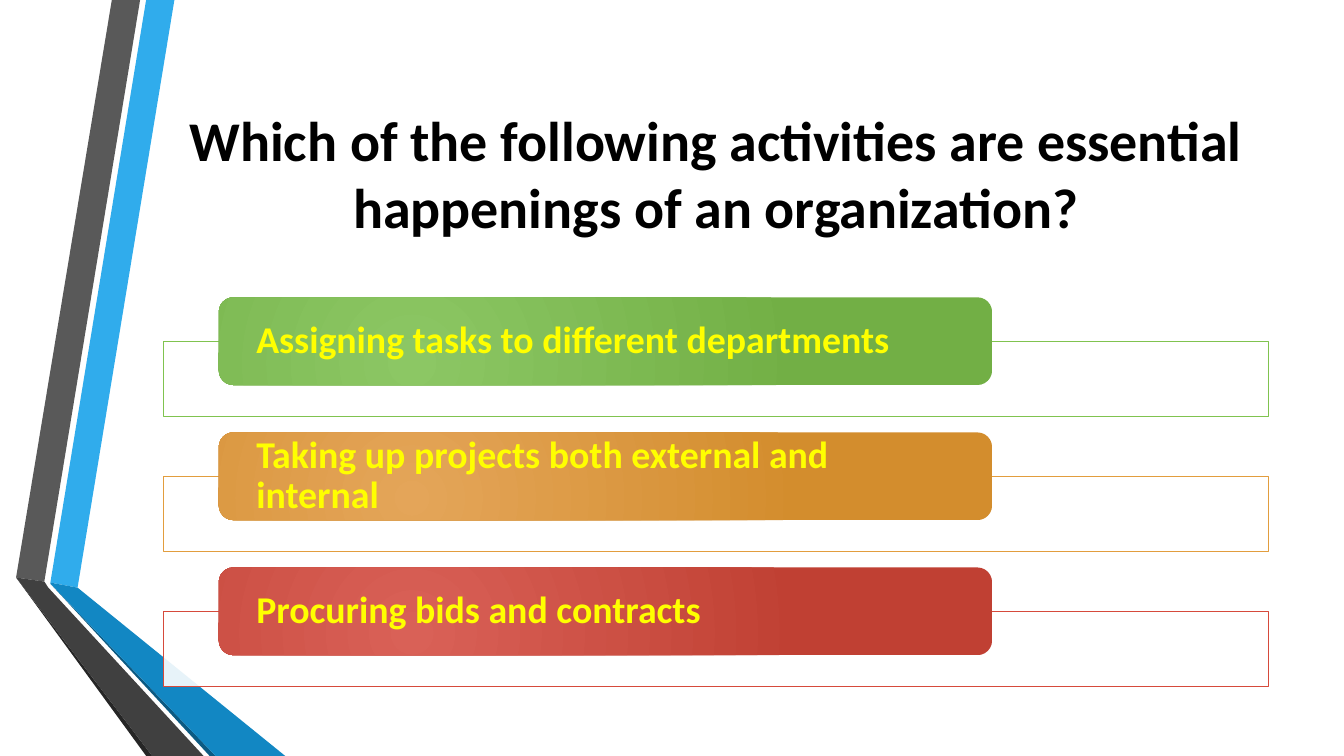
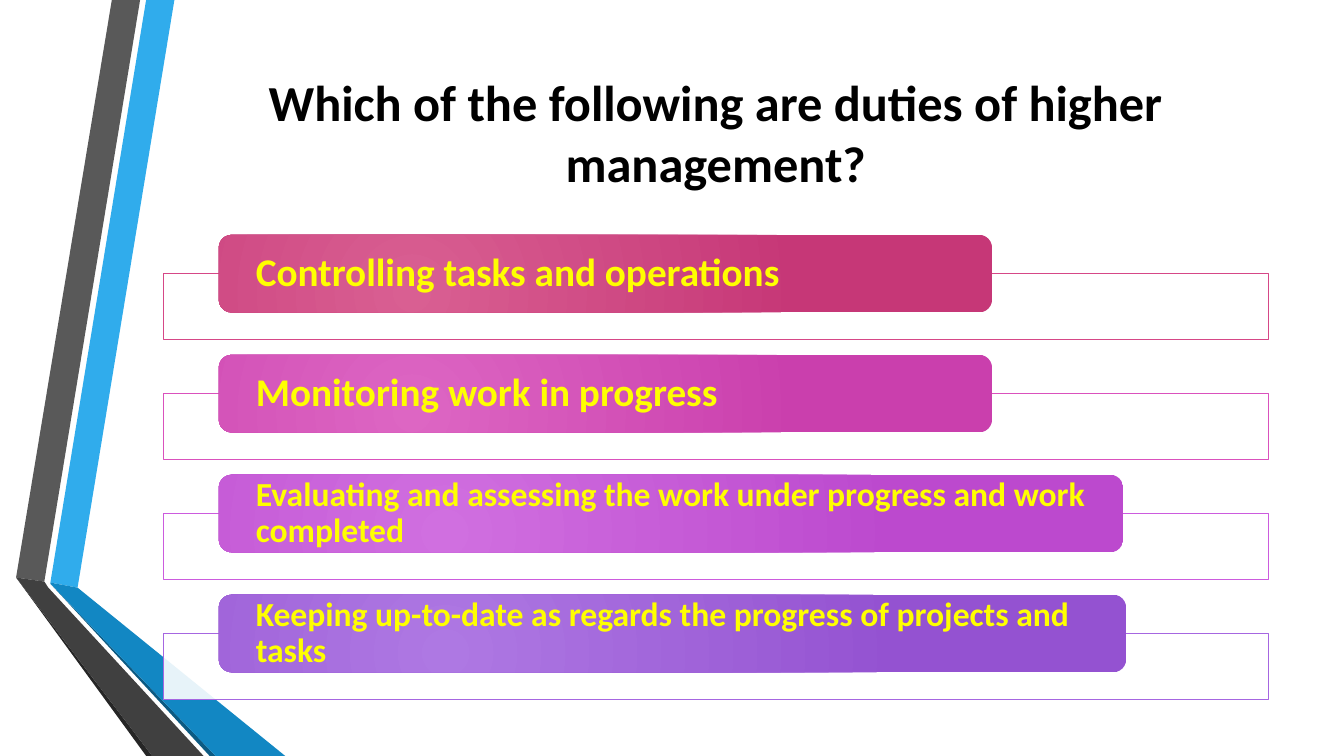
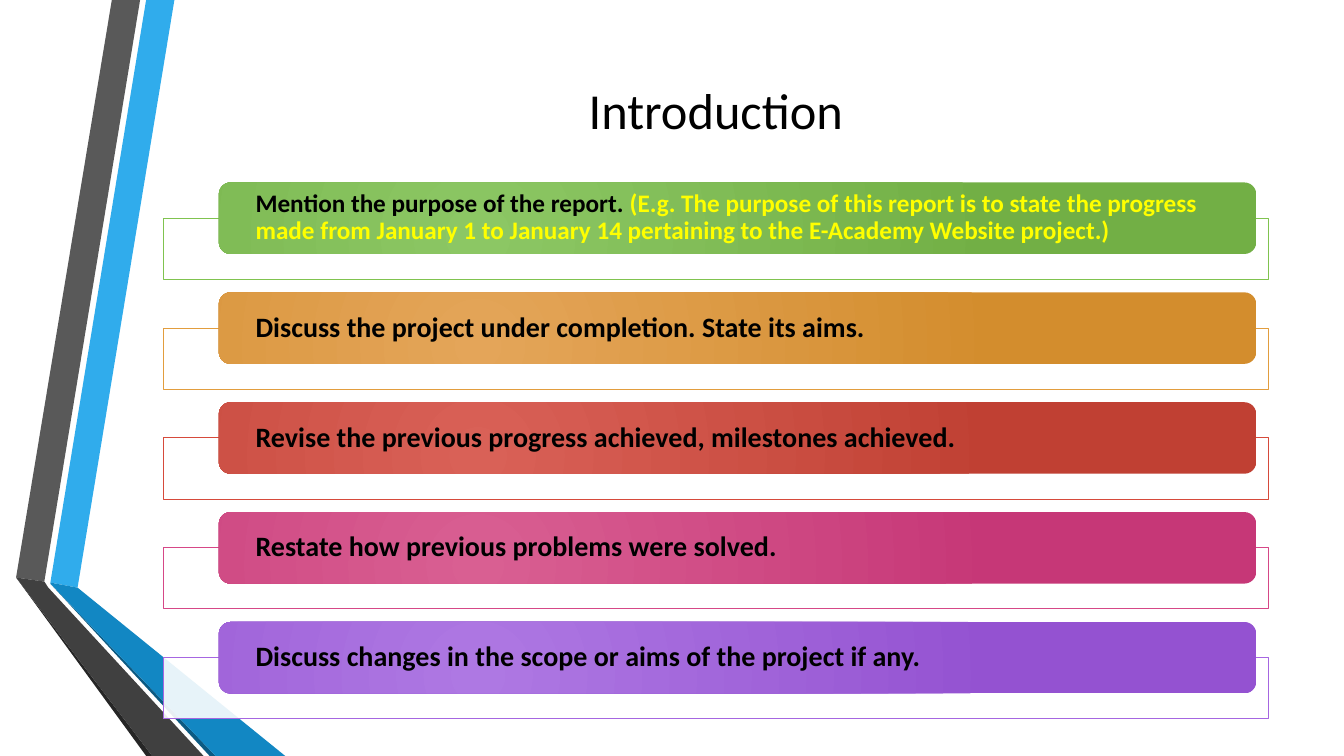
from pptx import Presentation
from pptx.dml.color import RGBColor
from pptx.enum.shapes import MSO_SHAPE
from pptx.enum.text import MSO_ANCHOR, PP_ALIGN
from pptx.oxml.ns import qn
from pptx.util import Inches, Pt
from lxml.etree import SubElement

FONT = "Calibri"
BLACK = RGBColor(0x00, 0x00, 0x00)
WHITE = RGBColor(0xFF, 0xFF, 0xFF)
YELLOW = RGBColor(0xFF, 0xFF, 0x00)
SKY = RGBColor(0x30, 0xAC, 0xEC)
BLUE = RGBColor(0x12, 0x87, 0xC3)
NAVY = RGBColor(0x0C, 0x5A, 0x82)
GREY = RGBColor(0x59, 0x59, 0x59)
CHARCOAL = RGBColor(0x40, 0x40, 0x40)
SOOT = RGBColor(0x26, 0x26, 0x26)

# Each hue: panel outline, light and dark end of the pill gradient
GREEN = (RGBColor(0x80, 0xC3, 0x4F), RGBColor(0x8C, 0xC7, 0x64), RGBColor(0x72, 0xAF, 0x45))
ORANGE = (RGBColor(0xE2, 0x9D, 0x3E), RGBColor(0xE4, 0xA5, 0x59), RGBColor(0xD3, 0x8D, 0x2D))
RED = (RGBColor(0xD6, 0x4A, 0x3B), RGBColor(0xD9, 0x61, 0x57), RGBColor(0xC0, 0x40, 0x33))
PINK = (RGBColor(0xD6, 0x47, 0x87), RGBColor(0xD9, 0x5F, 0x92), RGBColor(0xC6, 0x37, 0x77))
MAGENTA = (RGBColor(0xDA, 0x51, 0xBD), RGBColor(0xDD, 0x66, 0xC3), RGBColor(0xCA, 0x3F, 0xAD))
ORCHID = (RGBColor(0xCC, 0x5B, 0xDE), RGBColor(0xD0, 0x6F, 0xE0), RGBColor(0xBC, 0x49, 0xCE))
PURPLE = (RGBColor(0xA6, 0x66, 0xE1), RGBColor(0xAE, 0x78, 0xE3), RGBColor(0x94, 0x52, 0xD1))

LEFT, WIDTH, TITLE_TOP = 1.62, 10.96, 0.75
PILL_LEFT = 2.17
PANEL_RATIO = 0.855  # panel height over pill height

RIBBON = [
    (SKY, [(0.5, 5.78), (0.77, 5.83), (1.73, 0), (1.45, 0)]),
    (GREY, [(1.39, 0), (1.11, 0), (0.16, 5.73), (0.44, 5.77)]),
    (SOOT, [(0.16, 5.73), (1.45, 7.5), (1.51, 7.5)]),
    (NAVY, [(0.5, 5.79), (2.08, 7.5), (2.14, 7.5)]),
    (BLUE, [(0.5, 5.79), (2.14, 7.5), (2.83, 7.5), (0.77, 5.83), (0.5, 5.78)]),
    (CHARCOAL, [(2.02, 7.5), (0.48, 5.83), (0.44, 5.77), (0.16, 5.73), (1.51, 7.5)]),
]

# Rows: hue, pill width, text size, then (text, colour) spans
SLIDES = [
    {
        "title": "Which of the following activities are essential happenings of an organization?",
        "title_format": {"size": Pt(40), "bold": True}, "title_height": 1.92,
        "top": 2.95, "pitch": 1.34, "pill_height": 0.87,
        "rows": [
            (GREEN, 7.67, 27, [("Assigning tasks to different departments", YELLOW)]),
            (ORANGE, 7.67, 27, [("Taking up projects both external and internal", YELLOW)]),
            (RED, 7.67, 27, [("Procuring bids and contracts", YELLOW)]),
        ],
    },
    {
        "title": "Which of the following are duties of higher management?",
        "title_format": {"size": Pt(36), "bold": True}, "title_height": 1.12,
        "top": 2.33, "pitch": 1.19, "pill_height": 0.77,
        "rows": [
            (PINK, 7.67, 28, [("Controlling tasks and operations", YELLOW)]),
            (MAGENTA, 7.67, 28, [("Monitoring work in progress", YELLOW)]),
            (ORCHID, 8.97, 24, [
                ("Evaluating and assessing the work under progress and work completed", YELLOW)]),
            (PURPLE, 9, 24, [
                ("Keeping up-to-date as regards the progress of projects and tasks", YELLOW)]),
        ],
    },
    {
        "title": "Introduction",
        "title_format": {"size": Pt(36), "bold": False}, "title_height": 0.67,
        "top": 1.81, "pitch": 1.09, "pill_height": 0.71,
        "rows": [
            (GREEN, 10.29, 18, [
                ("Mention the purpose of the report. ", BLACK),
                ("(E.g. The purpose of this report is to state the progress made from "
                 "January 1 to January 14 pertaining to the E-Academy Website project.)", YELLOW)]),
            (ORANGE, 10.29, 20, [("Discuss the project under completion. State its aims.", BLACK)]),
            (RED, 10.29, 20, [
                ("Revise the previous progress achieved, milestones achieved.", BLACK)]),
            (PINK, 10.29, 20, [("Restate how previous problems were solved.", BLACK)]),
            (PURPLE, 10.29, 20, [
                ("Discuss changes in the scope or aims of the project if any.", BLACK)]),
        ],
    },
]


def set_all(target, values):
    for name, value in values.items():
        setattr(target, name, value)


def write_text(shape, spans, font_format, paragraph_format, frame_format):
    frame = shape.text_frame
    set_all(frame, {"word_wrap": True, "vertical_anchor": MSO_ANCHOR.MIDDLE, **frame_format})
    para = frame.paragraphs[0]
    set_all(para, paragraph_format)
    for text, colour in spans:
        span = para.add_run()
        span.text = text
        set_all(span.font, {"name": FONT, **font_format})
        span.font.color.rgb = colour


def put_ribbon_on_layout(layout, page):
    """Build the folded ribbon on a page, then move it to the layout all pages share."""
    for holder in list(layout.placeholders):
        layout.shapes.element.remove(holder.element)
    ribbon = page.shapes.add_group_shape()
    for colour, points in RIBBON:
        corners = [(Inches(x), Inches(y)) for x, y in points]
        builder = ribbon.shapes.build_freeform(*corners[0])
        builder.add_line_segments(corners[1:], close=True)
        strip = builder.convert_to_shape()
        strip.shadow.inherit = False
        strip.fill.solid()
        strip.fill.fore_color.rgb = colour
        strip.line.fill.background()
    layout.shapes.element.append(ribbon.element)


def add_box(page, kind, left, top, width, height):
    box = page.shapes.add_shape(kind, *map(Inches, (left, top, width, height)))
    box.shadow.inherit = False
    return box


def fill_radial(shape, light, dark):
    shape.fill.gradient()
    for stop, colour in zip(shape.fill.gradient_stops, (light, dark)):
        stop.color.rgb = colour
    gradient = shape.element.spPr.find(qn("a:gradFill"))
    gradient.remove(gradient.find(qn("a:lin")))
    circle = SubElement(gradient, qn("a:path"), {"path": "circle"})
    SubElement(circle, qn("a:fillToRect"),
               {"l": "50000", "t": "100000", "r": "100000", "b": "50000"})


def add_row(page, top, pill_height, hue, pill_width, size, spans):
    outline, light, dark = hue
    panel = add_box(page, MSO_SHAPE.RECTANGLE, LEFT, top + pill_height / 2,
                    WIDTH, pill_height * PANEL_RATIO)
    panel.fill.solid()
    panel.fill.fore_color.rgb = WHITE
    white = panel.element.spPr.find(qn("a:solidFill")).find(qn("a:srgbClr"))
    SubElement(white, qn("a:alpha"), {"val": "90000"})
    panel.line.color.rgb = outline
    panel.line.width = Pt(0.75)

    pill = add_box(page, MSO_SHAPE.ROUNDED_RECTANGLE, PILL_LEFT, top, pill_width, pill_height)
    fill_radial(pill, light, dark)
    pill.line.fill.background()
    write_text(pill, spans, {"size": Pt(size), "bold": True},
               {"alignment": PP_ALIGN.LEFT, "line_spacing": 0.9},
               {"margin_left": Inches(0.33), "margin_right": Inches(0.33),
                "margin_top": Inches(0.04), "margin_bottom": Inches(0.04)})


def add_page(deck, layout, content):
    page = deck.slides.add_slide(layout)
    title = page.shapes.add_textbox(*map(Inches, (LEFT, TITLE_TOP, WIDTH,
                                                  content["title_height"])))
    write_text(title, [(content["title"], BLACK)], content["title_format"],
               {"alignment": PP_ALIGN.CENTER}, {})
    for index, row in enumerate(content["rows"]):
        add_row(page, content["top"] + index * content["pitch"], content["pill_height"], *row)
    return page


def main():
    deck = Presentation()
    deck.slide_width, deck.slide_height = Inches(13.33), Inches(7.5)
    blank = deck.slide_layouts[6]
    pages = [add_page(deck, blank, content) for content in SLIDES]
    put_ribbon_on_layout(blank, pages[0])
    deck.save("out.pptx")


if __name__ == "__main__":
    main()
